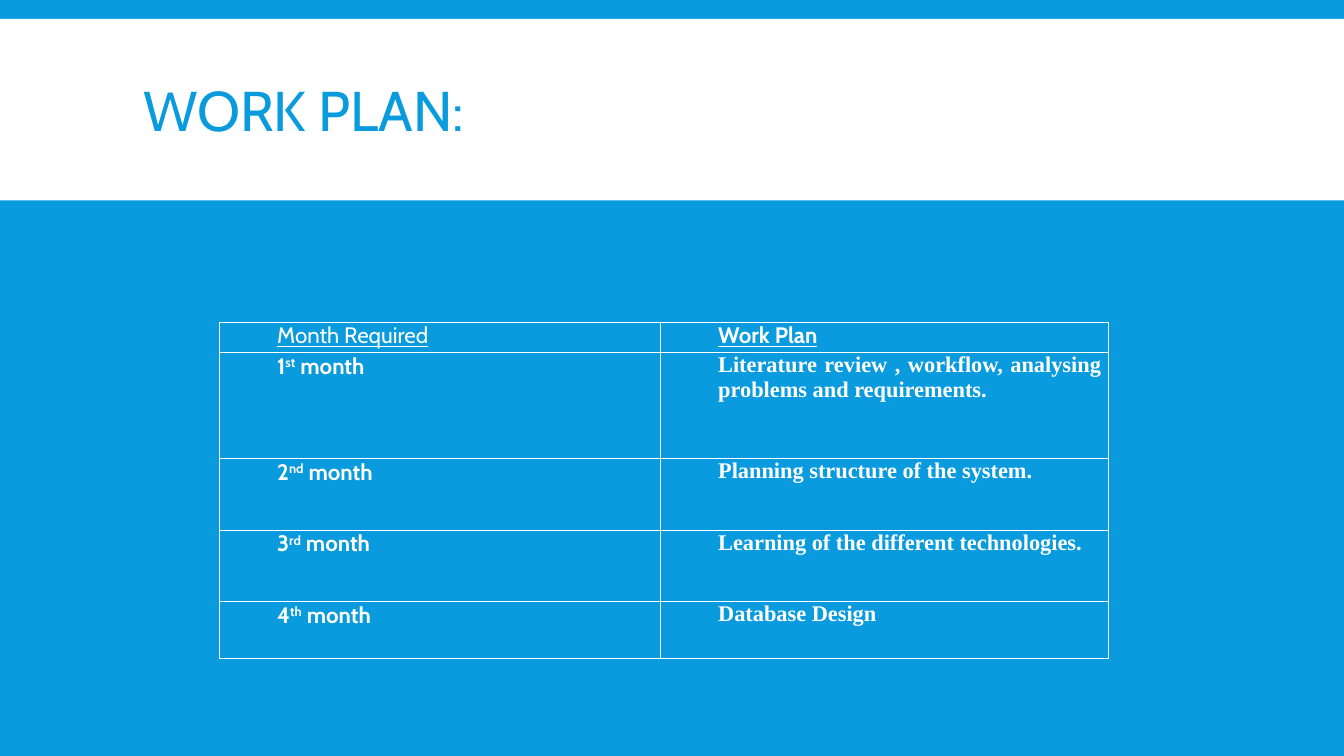
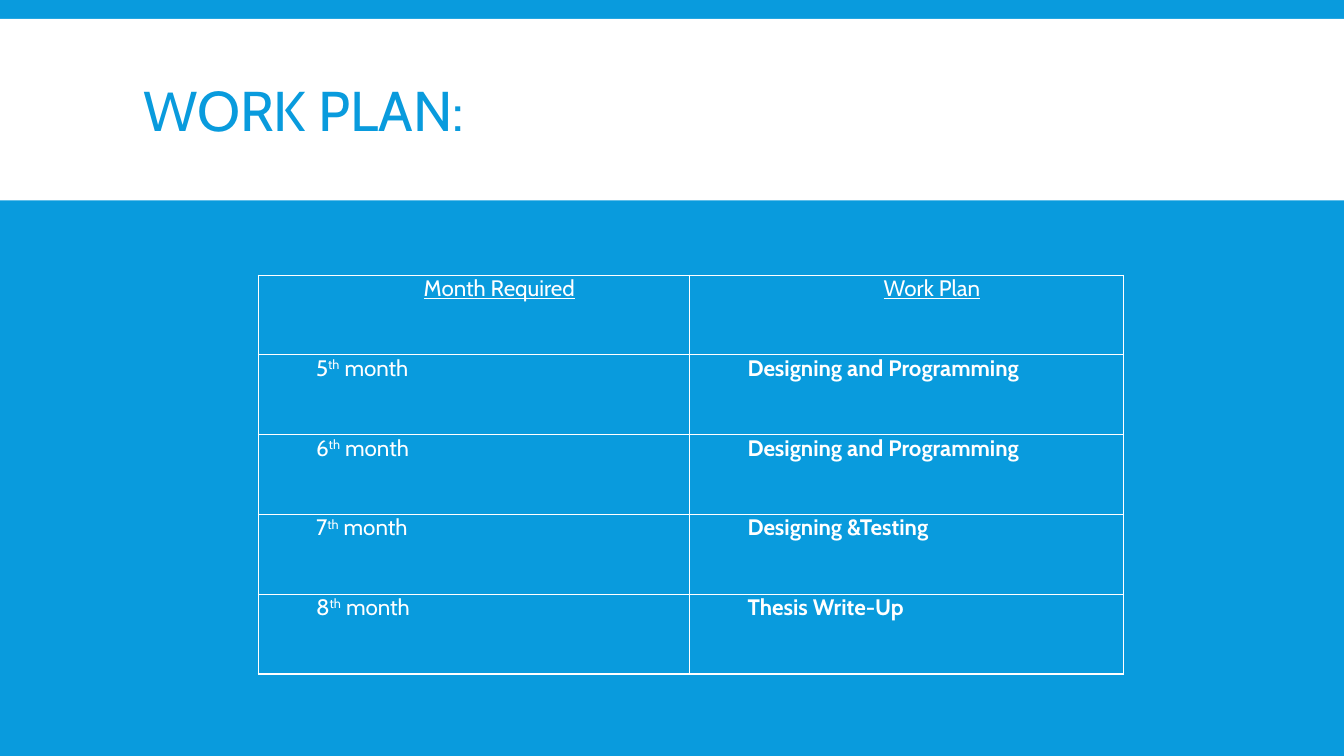
from dataclasses import dataclass

from lxml.etree import SubElement
from pptx import Presentation
from pptx.dml.color import RGBColor as RGB
from pptx.enum.shapes import MSO_SHAPE as Shape
from pptx.enum.text import MSO_ANCHOR as Anchor, PP_ALIGN as Align
from pptx.oxml.ns import qn
from pptx.slide import Slide
from pptx.table import _Cell as Cell
from pptx.util import Emu, Pt

EMU_PER_PX = 9525
SLIDE_W, SLIDE_H = 1280, 720


@dataclass(frozen=True)
class Theme:
    blue: RGB = RGB(0x09, 0x9B, 0xDD)
    white: RGB = RGB(0xFF, 0xFF, 0xFF)
    font: str = "Cabin"
    serif: str = "Times New Roman"
    title_size: int = 40
    cell_size: int = 16
    border: int = 1


THEME = Theme()


@dataclass(frozen=True)
class Run:
    text: str
    bold: bool = False
    underline: bool = False
    superscript: bool = False
    font: str = THEME.font
    size: int = THEME.cell_size
    color: RGB = THEME.white


@dataclass(frozen=True)
class Task:
    month: str
    ordinal: str
    work: str


@dataclass(frozen=True)
class WorkPlan:
    left: int
    top: int
    columns: tuple[int, ...]
    rows: tuple[int, ...]
    tasks: tuple[Task, ...]
    head_align: Align
    work_head_bold: bool
    month_bold: bool
    work_font: str


PLANS = (
    WorkPlan(
        209, 307, (420, 427), (29, 101, 68, 68, 54),
        (
            Task("1", "st", "Literature review , workflow, analysing problems and requirements."),
            Task("2", "nd", "Planning structure of the system."),
            Task("3", "rd", "Learning of the different technologies."),
            Task("4", "th", "Database Design"),
        ),
        head_align=Align.JUSTIFY, work_head_bold=True, month_bold=True, work_font=THEME.serif,
    ),
    WorkPlan(
        246, 262, (411, 413), (76,) * 5,
        (
            Task("5", "th", "Designing and Programming"),
            Task("6", "th", "Designing and Programming"),
            Task("7", "th", "Designing &Testing"),
            Task("8", "th", "Thesis Write-Up"),
        ),
        head_align=Align.CENTER, work_head_bold=False, month_bold=False, work_font=THEME.font,
    ),
)


def px(n: int) -> Emu:
    return Emu(n * EMU_PER_PX)


def add_runs(p, runs: list[Run]) -> None:
    for run in runs:
        r = p.add_run()
        r.text = run.text
        f = r.font
        f.name, f.size, f.bold, f.underline = run.font, Pt(run.size), run.bold, run.underline
        f.color.rgb = run.color
        if run.superscript:
            r._r.get_or_add_rPr().set("baseline", "30000")


def add_frame(s: Slide) -> None:
    """Draw the background, white band and title that the slides share."""
    s.background.fill.solid()
    s.background.fill.fore_color.rgb = THEME.blue
    band = s.shapes.add_shape(Shape.RECTANGLE, 0, px(18), px(SLIDE_W), px(173))
    band.shadow.inherit = False
    band.fill.solid()
    band.fill.fore_color.rgb = THEME.white
    band.line.fill.background()

    tf = s.shapes.add_textbox(px(127), px(30), px(1027), px(158)).text_frame
    tf.word_wrap = True
    tf.vertical_anchor = Anchor.MIDDLE
    p = tf.paragraphs[0]
    p.line_spacing = 0.85
    add_runs(p, [Run("WORK PLAN:", size=THEME.title_size, color=THEME.blue)])


def add_borders(cell: Cell) -> None:
    tc_pr = cell._tc.get_or_add_tcPr()
    for side in ("lnL", "lnR", "lnT", "lnB"):
        ln = SubElement(tc_pr, qn(f"a:{side}"), w=str(Pt(THEME.border)))
        fill = SubElement(ln, qn("a:solidFill"))
        SubElement(fill, qn("a:srgbClr"), val=str(THEME.white))


def fill_cell(cell: Cell, runs: list[Run], align: Align) -> None:
    cell.margin_left = cell.margin_right = px(7)
    cell.margin_top = cell.margin_bottom = 0
    add_borders(cell)
    cell.fill.solid()
    cell.fill.fore_color.rgb = THEME.blue
    p = cell.text_frame.paragraphs[0]
    p.alignment = align
    p.space_before = Pt(6)
    p._p.get_or_add_pPr().set("marL", str(px(48)))
    add_runs(p, runs)


def add_plan(s: Slide, plan: WorkPlan) -> None:
    table = s.shapes.add_table(
        len(plan.rows), len(plan.columns), px(plan.left), px(plan.top),
        px(sum(plan.columns)), px(sum(plan.rows)),
    ).table
    table.first_row = table.horz_banding = False
    for column, width in zip(table.columns, plan.columns):
        column.width = px(width)
    for row, height in zip(table.rows, plan.rows):
        row.height = px(height)

    heads = (Run("Month Required", underline=True),
             Run("Work Plan", bold=plan.work_head_bold, underline=True))
    for i, head in enumerate(heads):
        fill_cell(table.cell(0, i), [head], plan.head_align)
    for i, task in enumerate(plan.tasks, start=1):
        month = [
            Run(task.month, plan.month_bold),
            Run(task.ordinal, plan.month_bold, superscript=True),
            Run(" month", plan.month_bold),
        ]
        work = [Run(task.work, bold=True, font=plan.work_font)]
        fill_cell(table.cell(i, 0), month, Align.JUSTIFY)
        fill_cell(table.cell(i, 1), work, Align.JUSTIFY)


def main() -> None:
    prs = Presentation()
    prs.slide_width, prs.slide_height = px(SLIDE_W), px(SLIDE_H)
    for plan in PLANS:
        s = prs.slides.add_slide(prs.slide_layouts[6])
        add_frame(s)
        add_plan(s, plan)
    prs.save("out.pptx")


if __name__ == "__main__":
    main()
